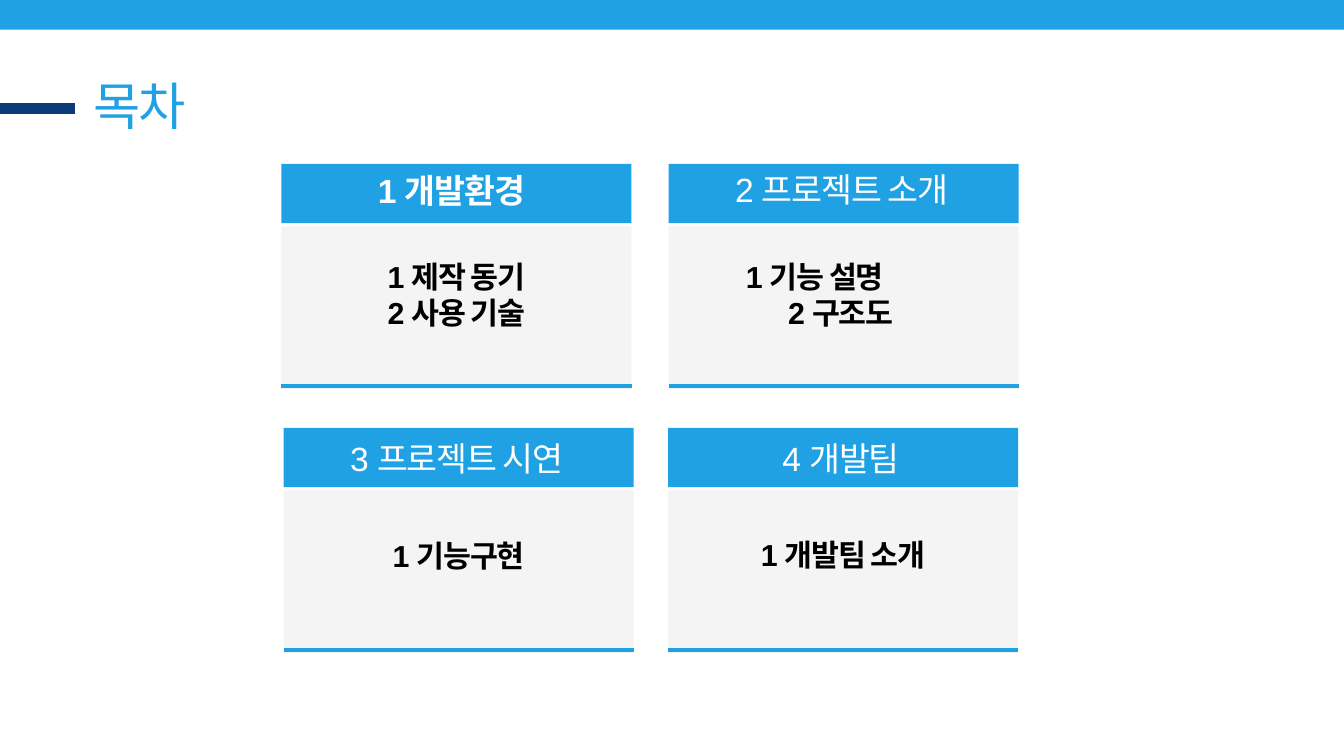
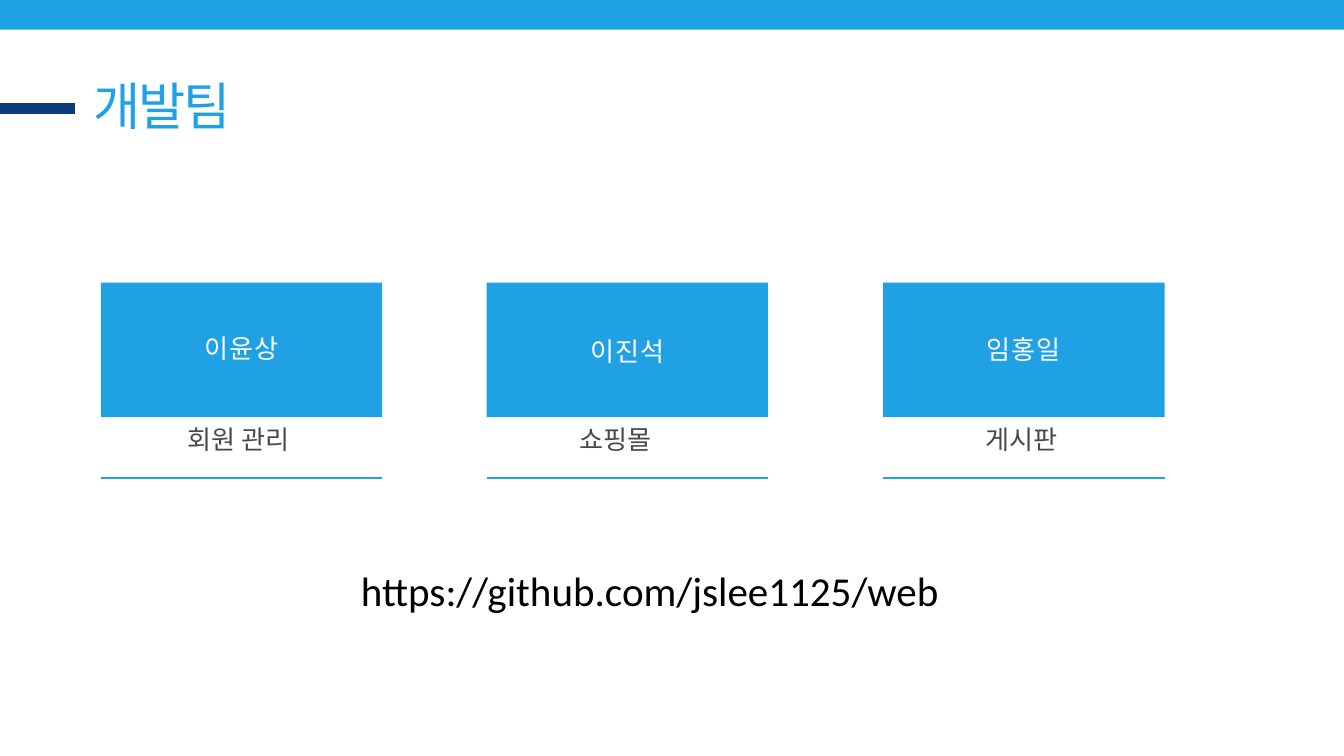
from dataclasses import dataclass

from lxml import etree
from pptx import Presentation
from pptx.dml.color import RGBColor
from pptx.enum.shapes import MSO_CONNECTOR, MSO_SHAPE
from pptx.enum.text import MSO_ANCHOR, MSO_AUTO_SIZE, PP_ALIGN
from pptx.oxml.ns import qn
from pptx.presentation import Presentation as Deck
from pptx.slide import Slide
from pptx.text.text import TextFrame
from pptx.util import Cm, Pt

RECTANGLE = MSO_SHAPE.RECTANGLE
STRAIGHT = MSO_CONNECTOR.STRAIGHT
LEFT, CENTER = PP_ALIGN.LEFT, PP_ALIGN.CENTER
TOP, MIDDLE = MSO_ANCHOR.TOP, MSO_ANCHOR.MIDDLE
NO_FIT, GROW = MSO_AUTO_SIZE.NONE, MSO_AUTO_SIZE.SHAPE_TO_FIT_TEXT

SKY = RGBColor(0x1F, 0xA1, 0xE4)
NAVY = RGBColor(0x0B, 0x3B, 0x7B)
PALE = RGBColor(0xF4, 0xF4, 0xF4)
GRAY = RGBColor(0x49, 0x49, 0x49)
WHITE = RGBColor(0xFF, 0xFF, 0xFF)
BLACK = RGBColor(0x00, 0x00, 0x00)

SLIDE_WIDTH, SLIDE_HEIGHT = 50.8, 28.58
TITLE_ONLY = 5
CARD_WIDTH = 13.23
HEADING_WIDTH = 12.09
MEMBER_WIDTH = 10.64
MEMBER_TOP = 10.69


@dataclass(frozen=True)
class Style:
    size: float
    color: RGBColor
    font: str = "Arial"
    bold: bool = False
    tracking: float = 0
    leading: float | None = None


@dataclass(frozen=True)
class Line:
    text: str
    indent: float | None = None


@dataclass(frozen=True)
class Card:
    left: float
    top: float
    heading: str
    topics: tuple[Line, ...]
    heading_dx: float
    heading_dy: float
    topics_dy: float
    bold_heading: bool = False


@dataclass(frozen=True)
class Member:
    left: float
    name: str
    duty: str
    name_top: float
    duty_left: float


TITLE = Style(55, SKY, "Calibri", tracking=-2.2, leading=66)
HEADING = Style(36, WHITE, tracking=-1.2, leading=35.6)
BOLD_HEADING = Style(36, WHITE, bold=True, tracking=-1.2, leading=35.6)
TOPIC = Style(32.5, BLACK, bold=True, tracking=-1.3, leading=39)
NAME = Style(28, WHITE, tracking=1.2, leading=30)
DUTY = Style(28, GRAY, leading=23.4)
ADDRESS = Style(44, BLACK, "Calibri")

CARDS = (
    Card(10.64, 6.2, "1 개발환경", (Line("1 제작 동기"), Line("2 사용 기술")),
         0.38, 0.48, 3.55, True),
    Card(25.27, 6.2, "2 프로젝트 소개",
         (Line("1 기능 설명", 2.92), Line("2 구조도", 4.52)), 0.5, 0.46, 3.55),
    Card(10.72, 16.18, "3 프로젝트 시연", (Line("1 기능구현"),), 0.5, 0.64, 4.12),
    Card(25.25, 16.18, "4 개발팀", (Line("1 개발팀 소개"),), 0.5, 0.64, 4.09),
)

MEMBERS = (
    Member(3.81, "이윤상", "회원 관리", 12.7, 3.68),
    Member(18.39, "이진석", "쇼핑몰", 12.8, 17.96),
    Member(33.38, "임홍일", "게시판", 12.73, 33.3),
)


def write(frame: TextFrame, lines: tuple[Line, ...], style: Style,
          align: PP_ALIGN) -> None:
    for index, line in enumerate(lines):
        paragraph = frame.add_paragraph() if index else frame.paragraphs[0]
        paragraph.alignment = align
        if line.indent is not None:
            paragraph.alignment = LEFT
            properties = paragraph._p.get_or_add_pPr()
            properties.set("marL", str(Cm(line.indent)))
            properties.set("indent", "0")
        if style.leading:
            paragraph.line_spacing = Pt(style.leading)
        run = paragraph.add_run()
        run.text = line.text
        run.font.name = style.font
        run.font.size = Pt(style.size)
        run.font.bold = style.bold
        run.font.color.rgb = style.color
        if style.tracking:
            run._r.get_or_add_rPr().set("spc", str(round(style.tracking * 100)))


def clear_margins(frame: TextFrame) -> None:
    frame.margin_left = frame.margin_top = Cm(0)
    frame.margin_right = frame.margin_bottom = Cm(0)


def add_text(slide: Slide, left: float, top: float, width: float, height: float,
             lines: tuple[Line, ...], style: Style,
             anchor: MSO_ANCHOR = TOP) -> None:
    box = slide.shapes.add_textbox(Cm(left), Cm(top), Cm(width), Cm(height))
    frame = box.text_frame
    frame.word_wrap = True
    frame.auto_size = GROW
    frame.vertical_anchor = anchor
    clear_margins(frame)
    write(frame, lines, style, CENTER)


def add_block(slide: Slide, left: float, top: float, width: float,
              height: float, color: RGBColor) -> None:
    block = slide.shapes.add_shape(RECTANGLE, Cm(left), Cm(top), Cm(width), Cm(height))
    block.shadow.inherit = False
    block.fill.solid()
    block.fill.fore_color.rgb = color
    block.line.fill.background()


def add_rule(slide: Slide, left: float, top: float, width: float,
             color: RGBColor, weight: float) -> None:
    rule = slide.shapes.add_connector(
        STRAIGHT, Cm(left), Cm(top), Cm(left + width), Cm(top))
    rule.line.color.rgb = color
    rule.line.width = Pt(weight)
    etree.SubElement(rule._element.spPr, qn("a:effectLst"))


def add_titled_slide(deck: Deck, heading: str) -> Slide:
    slide = deck.slides.add_slide(deck.slide_layouts[TITLE_ONLY])
    add_block(slide, 0, 0, SLIDE_WIDTH, 1.12, SKY)
    add_rule(slide, 0, 4.11, 2.84, NAVY, 11.25)
    title = slide.shapes.title
    title.left, title.top = Cm(3.53), Cm(2.82)
    title.width, title.height = Cm(18.36), Cm(2.69)
    frame = title.text_frame
    frame.word_wrap = True
    frame.auto_size = NO_FIT
    frame.vertical_anchor = TOP
    clear_margins(frame)
    write(frame, (Line(heading),), TITLE, LEFT)
    return slide


def draw_card(slide: Slide, card: Card) -> None:
    add_block(slide, card.left, card.top, CARD_WIDTH, 2.24, SKY)
    add_block(slide, card.left, card.top + 2.36, CARD_WIDTH, 6.15, PALE)
    add_rule(slide, card.left, card.top + 8.38, CARD_WIDTH, SKY, 4.57)
    add_text(slide, card.left + card.heading_dx, card.top + card.heading_dy,
             HEADING_WIDTH, 1.27, (Line(card.heading),),
             BOLD_HEADING if card.bold_heading else HEADING, MIDDLE)
    add_text(slide, card.left, card.top + card.topics_dy, CARD_WIDTH,
             1.38 * len(card.topics), card.topics, TOPIC, MIDDLE)


def draw_member(slide: Slide, member: Member) -> None:
    add_block(slide, member.left, MEMBER_TOP, MEMBER_WIDTH, 5.08, SKY)
    add_text(slide, member.left, member.name_top, MEMBER_WIDTH, 1.07,
             (Line(member.name),), NAME)
    add_text(slide, member.duty_left, MEMBER_TOP + 5.69, MEMBER_WIDTH, 0.84,
             (Line(member.duty),), DUTY)
    add_rule(slide, member.left, MEMBER_TOP + 7.39, MEMBER_WIDTH, SKY, 2.25)


def build_contents(deck: Deck) -> None:
    slide = add_titled_slide(deck, "목차")
    for card in CARDS:
        draw_card(slide, card)


def build_team(deck: Deck) -> None:
    slide = add_titled_slide(deck, "개발팀")
    for member in MEMBERS:
        draw_member(slide, member)
    address = slide.shapes.add_textbox(Cm(13.39), Cm(21.26), Cm(22.61), Cm(2.13))
    address.text_frame.word_wrap = False
    address.text_frame.auto_size = GROW
    write(address.text_frame, (Line("https://github.com/jslee1125/web"),),
          ADDRESS, LEFT)


def main() -> None:
    deck = Presentation()
    deck.slide_width, deck.slide_height = Cm(SLIDE_WIDTH), Cm(SLIDE_HEIGHT)
    build_contents(deck)
    build_team(deck)
    deck.save("out.pptx")


if __name__ == "__main__":
    main()
